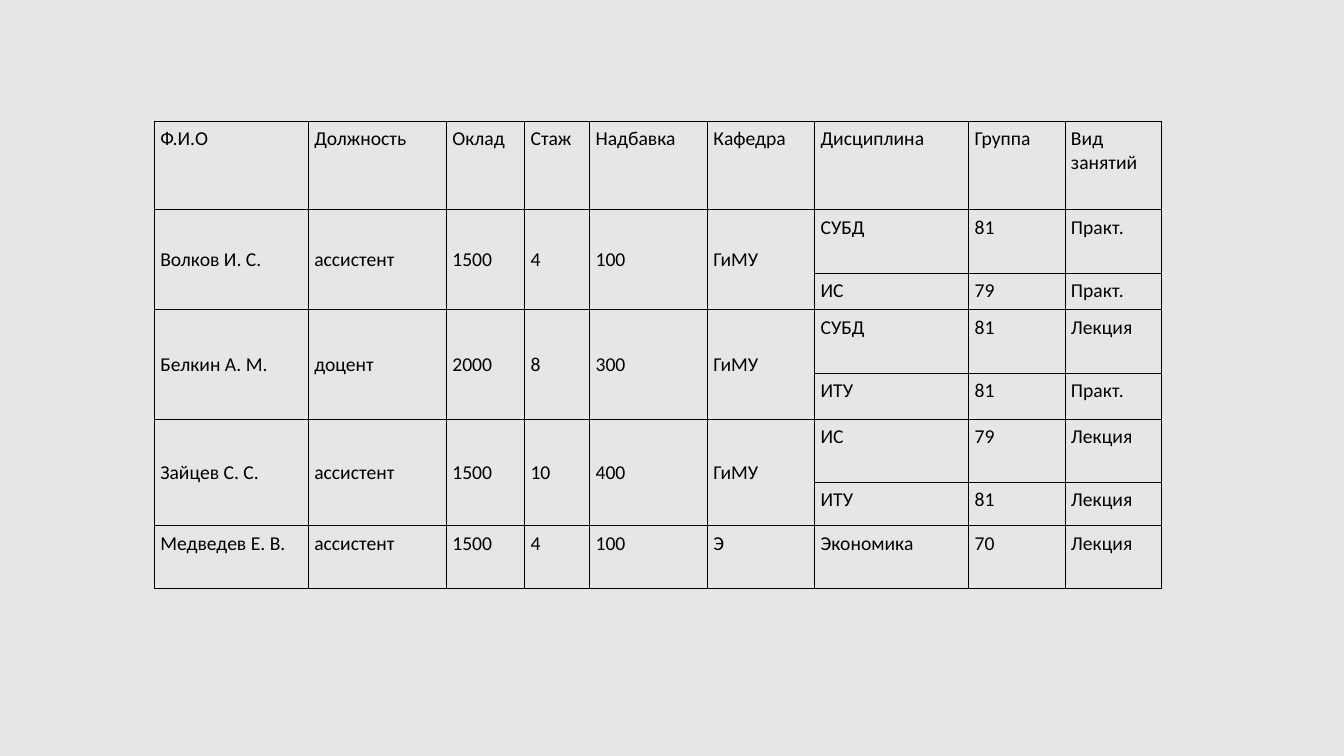
from lxml.etree import SubElement
from pptx import Presentation
from pptx.dml.color import RGBColor
from pptx.enum.text import MSO_ANCHOR as Anchor
from pptx.oxml.ns import qn
from pptx.util import Cm, Pt

# Content: person data, then that person's classes
HEADERS = ["Ф.И.О", "Должность", "Оклад", "Стаж", "Надбавка", "Кафедра",
           "Дисциплина", "Группа", "Вид занятий"]
TEACHERS = [
    (["Волков И. С.", "ассистент", "1500", "4", "100", "ГиМУ"],
     [["СУБД", "81", "Практ."], ["ИС", "79", "Практ."]]),
    (["Белкин А. М.", "доцент", "2000", "8", "300", "ГиМУ"],
     [["СУБД", "81", "Лекция"], ["ИТУ", "81", "Практ."]]),
    (["Зайцев С. С.", "ассистент", "1500", "10", "400", "ГиМУ"],
     [["ИС", "79", "Лекция"], ["ИТУ", "81", "Лекция"]]),
    (["Медведев Е. В.", "ассистент", "1500", "4", "100", "Э"],
     [["Экономика", "70", "Лекция"]]),
]

# Sizes in centimetres
COLUMN_WIDTHS = [3.88, 3.48, 1.97, 1.64, 2.97, 2.7, 3.88, 2.43, 2.44]
ROW_HEIGHTS = [2.24, 1.59, 0.93, 1.59, 1.16, 1.59, 1.1, 1.59]
TABLE_LEFT, TABLE_TOP = 3.89, 3.05
MARGIN = 0.15
BACKGROUND, INK = "E7E6E6", "000000"


def color(hex_code):
    return RGBColor.from_string(hex_code)


def add_borders(cell):
    properties = cell._tc.get_or_add_tcPr()
    for side in ("lnL", "lnR", "lnT", "lnB"):
        line = SubElement(properties, qn(f"a:{side}"), w=str(Pt(0.75)))
        fill = SubElement(line, qn("a:solidFill"))
        SubElement(fill, qn("a:srgbClr"), val=INK)


def write(cell, text, anchor=Anchor.TOP):
    cell.text_frame.text = text
    cell.vertical_anchor = anchor
    font = cell.text_frame.paragraphs[0].runs[0].font
    font.name, font.size = "Calibri", Pt(14)
    font.color.rgb = color(INK)


# Slide
presentation = Presentation()
presentation.slide_width, presentation.slide_height = Cm(33.87), Cm(19.05)
slide = presentation.slides.add_slide(presentation.slide_layouts[6])
slide.background.fill.solid()
slide.background.fill.fore_color.rgb = color(BACKGROUND)

# Table grid
table = slide.shapes.add_table(
    len(ROW_HEIGHTS), len(COLUMN_WIDTHS), Cm(TABLE_LEFT), Cm(TABLE_TOP),
    Cm(sum(COLUMN_WIDTHS)), Cm(sum(ROW_HEIGHTS))).table
table.first_row = table.horz_banding = False
for column, width in zip(table.columns, COLUMN_WIDTHS):
    column.width = Cm(width)
for row, height in zip(table.rows, ROW_HEIGHTS):
    row.height = Cm(height)
for cell in table.iter_cells():
    cell.margin_left = cell.margin_right = Cm(MARGIN)
    cell.margin_top = cell.margin_bottom = Cm(MARGIN)
    add_borders(cell)
    cell.fill.background()

# Header row
for index, header in enumerate(HEADERS):
    write(table.cell(0, index), header)

# Teachers: personal cells span all rows of their classes
first_row = 1
for person, classes in TEACHERS:
    last_row = first_row + len(classes) - 1
    for index, text in enumerate(person):
        cell = table.cell(first_row, index)
        if last_row > first_row:
            cell.merge(table.cell(last_row, index))
            write(cell, text, Anchor.MIDDLE)
        else:
            write(cell, text)
    for row_index, lesson in enumerate(classes, first_row):
        for index, text in enumerate(lesson, len(person)):
            write(table.cell(row_index, index), text)
    first_row = last_row + 1

presentation.save("out.pptx")
